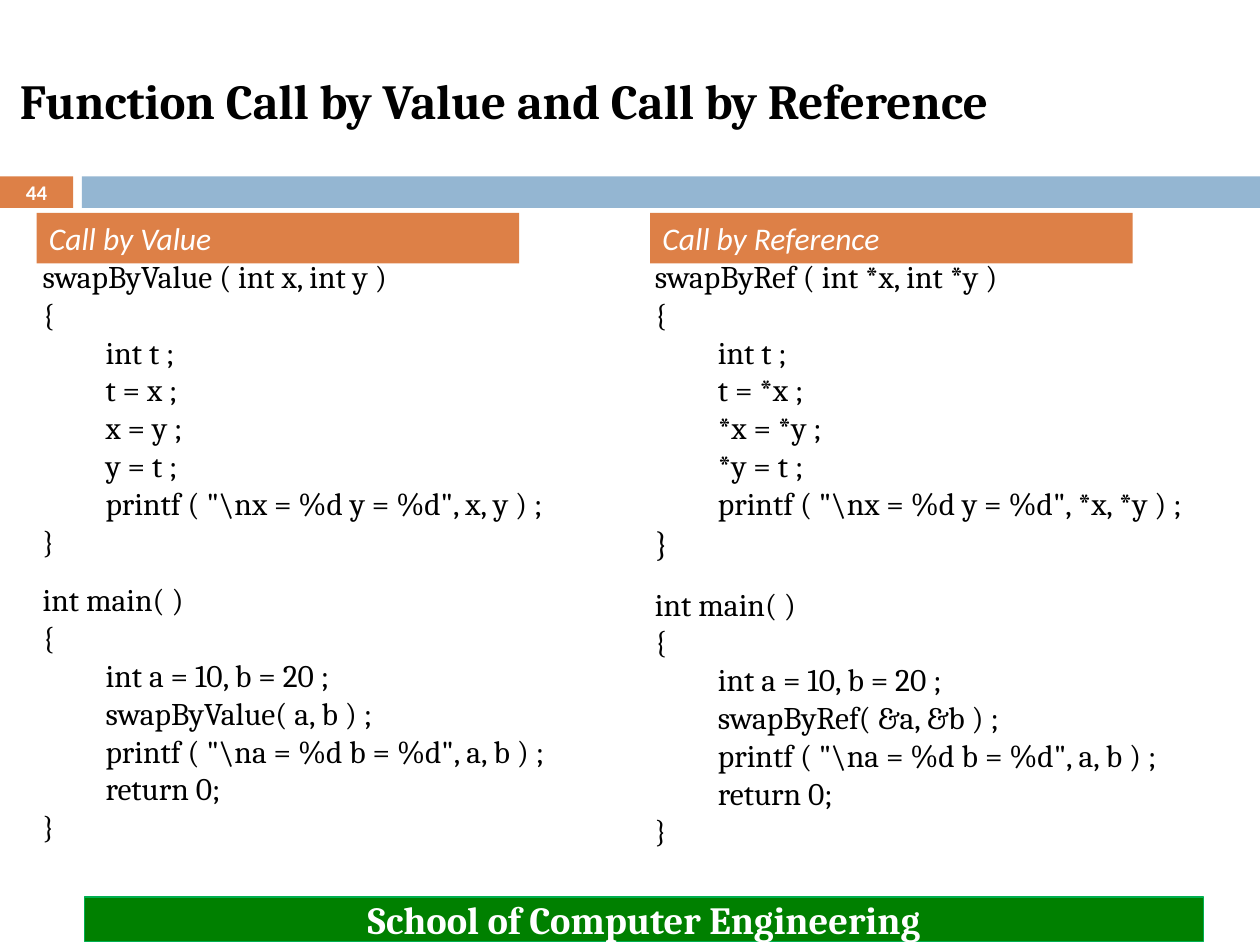
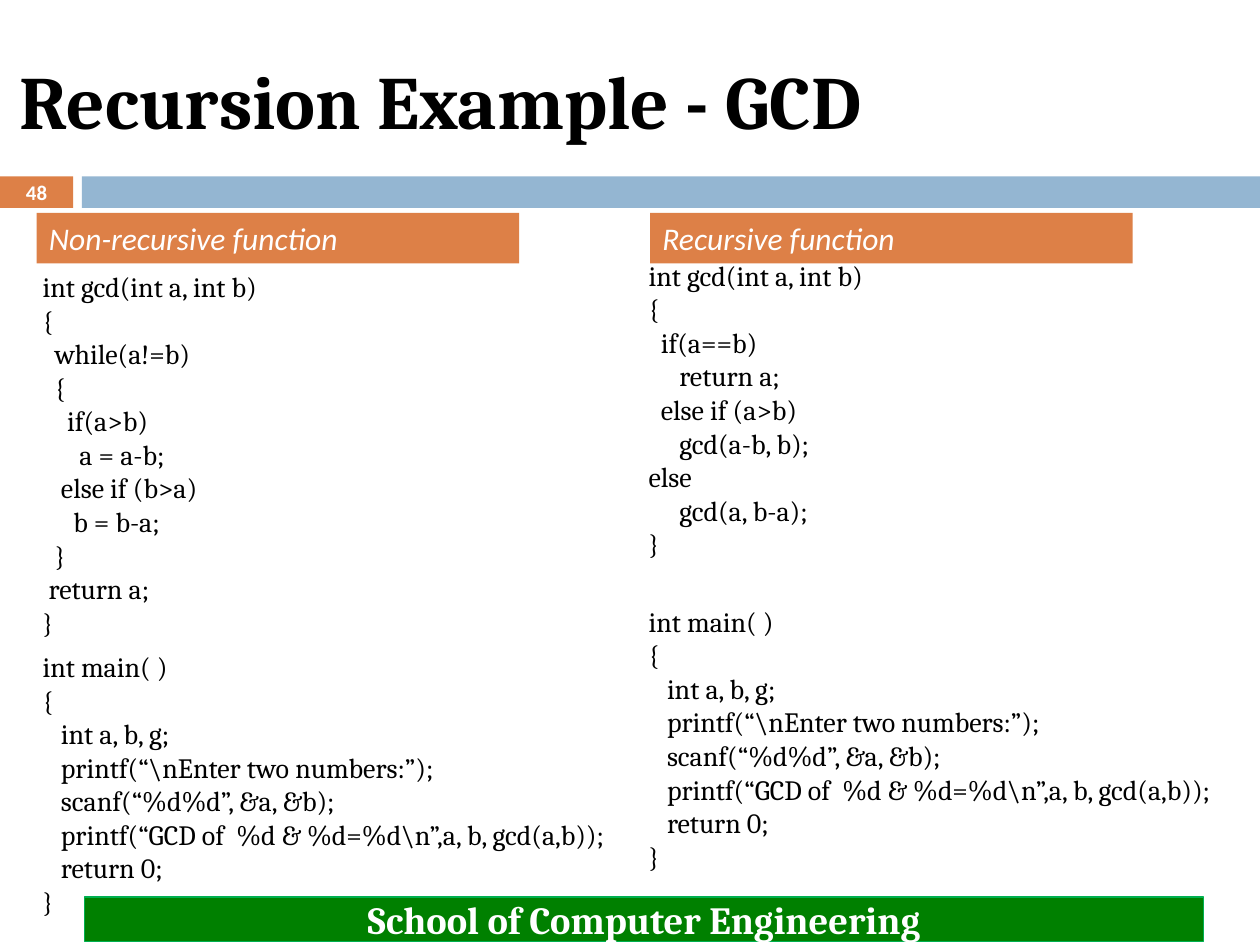
from pptx import Presentation
from pptx.dml.color import RGBColor
from pptx.enum.shapes import MSO_SHAPE
from pptx.enum.text import MSO_ANCHOR, PP_ALIGN
from pptx.util import Inches, Pt

ORANGE = RGBColor(0xDD, 0x80, 0x47)
BLUE = RGBColor(0x94, 0xB6, 0xD2)
GREEN = RGBColor(0x00, 0x80, 0x00)
GREEN_EDGE = RGBColor(0x00, 0xB0, 0x50)
BLACK = RGBColor(0x00, 0x00, 0x00)
WHITE = RGBColor(0xFF, 0xFF, 0xFF)

HEADING_FONT = CODE_FONT = "Cambria"
LABEL_FONT = "Calibri"
TAG_LEFTS = (0.29, 5.16)
CODE_MARGIN = 0.06
CODE_INDENT = 0.01
TAB_WIDTH = 0.5

SWAP_BY_VALUE = r"""swapByValue ( int x, int y )
{
	int t ;
	t = x ;
	x = y ;
	y = t ;
	printf ( "\nx = %d y = %d", x, y ) ;
}"""

SWAP_BY_REF = r"""swapByRef ( int *x, int *y )
{
	int t ;
	t = *x ;
	*x = *y ;
	*y = t ;
	printf ( "\nx = %d y = %d", *x, *y ) ;
}"""

SWAP_MAIN = r"""int main( )
{
	int a = 10, b = 20 ;
	SWAP_CALL ;
	printf ( "\na = %d b = %d", a, b ) ;
	return 0;
}"""

GCD_LOOP = """int gcd(int a, int b)
{
  while(a!=b)
  {
    if(a>b)
      a = a-b;
   else if (b>a)
     b = b-a;
  }
 return a;
}"""

GCD_RECURSIVE = """int gcd(int a, int b)
{
  if(a==b)
     return a;
  else if (a>b)
     gcd(a-b, b);
else
     gcd(a, b-a);
}"""

GCD_MAIN = r"""int main( )
{
   int a, b, g;
   printf(“\nEnter two numbers:”);
   scanf(“%d%d”, &a, &b);
   printf(“GCD of  %d & %d=%d\n”,a, b, gcd(a,b));
   return 0;
}"""


def write(paragraph, text, size, font=CODE_FONT, color=BLACK, bold=False,
          italic=False, align=PP_ALIGN.LEFT):
    paragraph.alignment = align
    run = paragraph.add_run()
    run.text = text
    run.font.name = font
    run.font.size = Pt(size)
    run.font.color.rgb = color
    run.font.bold = bold
    run.font.italic = italic


def add_bar(slide, box, fill, edge=None):
    bar = slide.shapes.add_shape(MSO_SHAPE.RECTANGLE, *map(Inches, box))
    bar.shadow.inherit = False
    bar.fill.solid()
    bar.fill.fore_color.rgb = fill
    if edge is None:
        bar.line.fill.background()
    else:
        bar.line.color.rgb = edge
        bar.line.width = Pt(0.75)
    return bar.text_frame


def add_text_frame(slide, box, anchor=MSO_ANCHOR.TOP):
    frame = slide.shapes.add_textbox(*map(Inches, box)).text_frame
    frame.word_wrap = True
    frame.vertical_anchor = anchor
    return frame


def add_page(presentation, title, title_size, number):
    """Add a slide with the bands, title, slide number and footer."""
    slide = presentation.slides.add_slide(presentation.slide_layouts[6])
    add_bar(slide, (0, 1.4, 0.58, 0.25), ORANGE)
    add_bar(slide, (0.65, 1.4, 9.35, 0.25), BLUE)
    heading = add_text_frame(slide, (0.06, 0.25, 8.92, 1.08), MSO_ANCHOR.MIDDLE)
    write(heading.paragraphs[0], title, title_size, HEADING_FONT, bold=True)
    page = add_text_frame(slide, (0, 1.39, 0.58, 0.27), MSO_ANCHOR.MIDDLE)
    write(page.paragraphs[0], number, 11.9, LABEL_FONT, WHITE, bold=True,
          align=PP_ALIGN.CENTER)
    footer = add_bar(slide, (0.67, 7.12, 8.88, 0.35), GREEN, GREEN_EDGE)
    write(footer.paragraphs[0], "School of Computer Engineering", 22,
          HEADING_FONT, WHITE, bold=True, align=PP_ALIGN.CENTER)
    return slide


def add_tag(slide, left, label):
    tag = add_bar(slide, (left, 1.69, 3.83, 0.4), ORANGE)
    tag.vertical_anchor = MSO_ANCHOR.TOP
    write(tag.paragraphs[0], label, 18, LABEL_FONT, WHITE, italic=True)


def add_code(slide, box, function, main, size, gap, brace_size=None):
    """Set a function and, after a gap, main(); a leading tab is an indent."""
    frame = add_text_frame(slide, box)
    function_lines = function.splitlines()
    for index, line in enumerate(function_lines + main.splitlines()):
        paragraph = frame.paragraphs[0] if index == 0 else frame.add_paragraph()
        margin = CODE_MARGIN + TAB_WIDTH * line.startswith("\t")
        properties = paragraph._p.get_or_add_pPr()
        properties.set("marL", str(Inches(margin)))
        properties.set("indent", str(Inches(CODE_INDENT)))
        if index == len(function_lines):
            paragraph.space_before = Pt(gap)
        closes_function = index == len(function_lines) - 1
        line_size = brace_size if closes_function and brace_size else size
        write(paragraph, line.lstrip("\t"), line_size, align=PP_ALIGN.JUSTIFY)


def add_swap_slide(presentation):
    slide = add_page(presentation, "Function Call by Value and Call by Reference",
                     28, "44")
    add_code(slide, (0.17, 1.99, 4.82, 4.81), SWAP_BY_VALUE,
             SWAP_MAIN.replace("SWAP_CALL", "swapByValue( a, b )"), 18, 12)
    add_code(slide, (5.03, 1.99, 4.82, 4.85), SWAP_BY_REF,
             SWAP_MAIN.replace("SWAP_CALL", "swapByRef( &a, &b )"), 18, 12,
             brace_size=20)
    for left, label in zip(TAG_LEFTS, ("Call by Value", "Call by Reference")):
        add_tag(slide, left, label)


def add_gcd_slide(presentation):
    slide = add_page(presentation, "Recursion Example - GCD", 43, "48")
    for left, label in zip(TAG_LEFTS,
                           ("Non-recursive function", "Recursive function")):
        add_tag(slide, left, label)
    add_code(slide, (0.17, 2.09, 5, 5.3), GCD_LOOP, GCD_MAIN, 16, 6)
    add_code(slide, (4.98, 2, 5, 5.03), GCD_RECURSIVE, GCD_MAIN, 16, 25)


def main():
    presentation = Presentation()
    presentation.slide_width = Inches(10)
    presentation.slide_height = Inches(7.5)
    add_swap_slide(presentation)
    add_gcd_slide(presentation)
    presentation.save("out.pptx")


if __name__ == "__main__":
    main()
